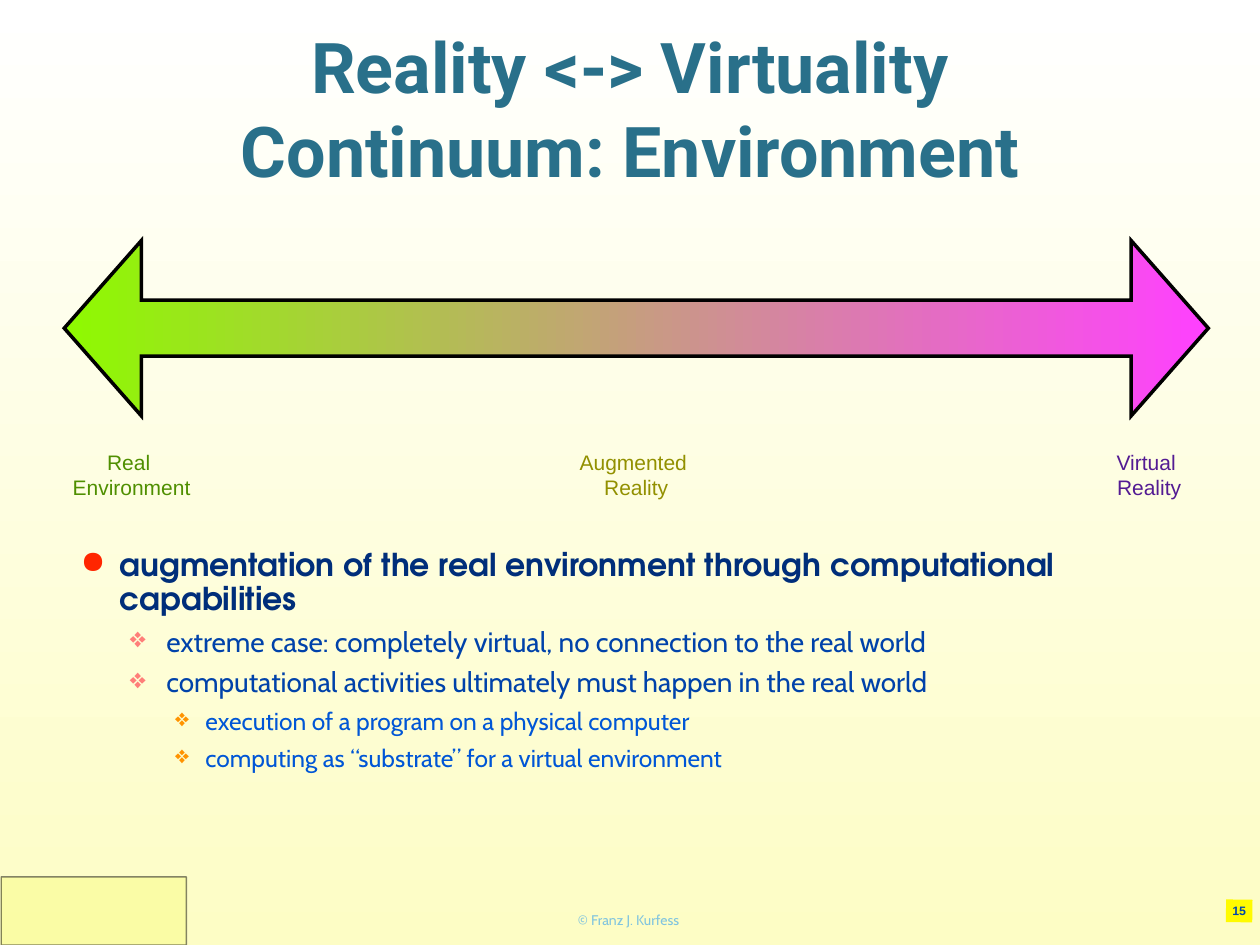
from lxml.etree import SubElement
from pptx import Presentation
from pptx.dml.color import RGBColor
from pptx.enum.shapes import MSO_SHAPE as Shape
from pptx.enum.text import MSO_ANCHOR as Anchor, PP_ALIGN as Align
from pptx.oxml.ns import qn
from pptx.util import Inches, Pt

# Content
TITLE = ["Reality <-> Virtuality", "Continuum: Environment"]
FOOTER = "© Franz J. Kurfess"
PAGE_NUMBER = "15"
STAGES = [  # lines, colour, left, width
    (["Real ", "Environment"], "4F8F00", 0.38, 1.33),
    (["Augmented ", "Reality"], "929000", 4.45, 1.2),
    (["Virtual ", "Reality"], "531B93", 8.68, 0.88),
]
POINTS = [  # level, text
    (0, "augmentation of the real environment through computational capabilities"),
    (1, "extreme case: completely virtual, no connection to the real world"),
    (1, "computational activities ultimately must happen in the real world"),
    (2, "execution of a program on a physical computer"),
    (2, "computing as “substrate” for a virtual environment"),
]
LEVELS = [  # bullet, bullet colour, margin, hanging indent, font, size, colour, bold
    ("●", "FF2600", 0.31, 0.31, "TeX Gyre Adventor", 18, "002E7A", True),
    ("❖", "FF7E79", 0.68, 0.29, "Cabin", 16, "0042AA", False),
    ("❖", "FF9300", 0.99, 0.24, "Cabin", 14, "0056D6", False),
]


def rgb(value):
    return RGBColor.from_string(value)


def set_font(para, name, size, color, bold=False):
    font = para.font
    font.name, font.size, font.bold = name, Pt(size), bold
    font.color.rgb = rgb(color)


def set_gradient(fill, colors, angle):
    fill.gradient()
    fill.gradient_angle = angle
    for stop, color, position in zip(fill.gradient_stops, colors, (0, 1)):
        stop.color.rgb = rgb(color)
        stop.position = position


def set_alpha(parent, percent):
    color = next(parent.iter(qn("a:srgbClr")))
    SubElement(color, qn("a:alpha"), val=str(percent * 1000))


def setup_frame(frame, inset, anchor=Anchor.MIDDLE, wrap=True):
    frame.word_wrap = wrap
    frame.vertical_anchor = anchor
    frame.margin_left = frame.margin_right = Inches(inset)
    frame.margin_top = frame.margin_bottom = Inches(inset)


def fill_lines(frame, lines, *style):
    for index, line in enumerate(lines):
        para = frame.paragraphs[0] if index == 0 else frame.add_paragraph()
        para.text = line
        para.alignment = Align.CENTER
        set_font(para, *style)


def add_text(page, place, lines, inset, *style):
    box = page.shapes.add_textbox(*map(Inches, place))
    setup_frame(box.text_frame, inset)
    fill_lines(box.text_frame, lines, *style)


def add_figure(page, kind, place):
    figure = page.shapes.add_shape(kind, *map(Inches, place))
    figure.shadow.inherit = False
    return figure


def add_bullet(para, char, color, margin, hanging):
    props = para._p.get_or_add_pPr()
    props.set("marL", str(Inches(margin)))
    props.set("indent", str(-Inches(hanging)))
    SubElement(SubElement(props, qn("a:buClr")), qn("a:srgbClr"), val=color)
    SubElement(props, qn("a:buChar"), char=char)


deck = Presentation()
deck.slide_width, deck.slide_height = Inches(10), Inches(7.5)
page = deck.slides.add_slide(deck.slide_layouts[6])
set_gradient(page.background.fill, ("FDFDC5", "FFFFFF"), 90)

# Corner panel and footer
panel = add_figure(page, Shape.RECTANGLE, (0.01, 6.96, 1.47, 0.54))
panel.fill.solid()
panel.fill.fore_color.rgb = rgb("F8FC84")
panel.line.color.rgb = rgb("000000")
panel.line.width = Pt(0.75)
set_alpha(panel._element.spPr.find(qn("a:solidFill")), 48)
set_alpha(panel._element.spPr.find(qn("a:ln")), 48)
add_text(page, (3.36, 7.17, 3.26, 0.26), [FOOTER], 0.04, "Cabin", 8, "80C4DF")

# Title
add_text(page, (0.6, 0, 8.8, 1.7), TITLE, 0.04, "Roboto", 40, "29708A", True)

# Bulleted points
body = page.shapes.add_textbox(*map(Inches, (0.6, 4.32, 8.79, 2.37))).text_frame
setup_frame(body, 0.04, Anchor.TOP)
for index, (level, text) in enumerate(POINTS):
    para = body.paragraphs[0] if index == 0 else body.add_paragraph()
    para.text = text
    para.level = level
    para.line_spacing = 0.9
    para.space_before = Pt(6 if index else 0)
    add_bullet(para, *LEVELS[level][:4])
    set_font(para, *LEVELS[level][4:])

# Page number
badge = add_figure(page, Shape.RECTANGLE, (9.73, 7.14, 0.21, 0.18))
badge.rotation = 0.8
badge.fill.solid()
badge.fill.fore_color.rgb = rgb("FFFB00")
badge.line.fill.background()
setup_frame(badge.text_frame, 0.04, wrap=False)
fill_lines(badge.text_frame, [PAGE_NUMBER], "Arial", 7, "0048AA", True)

# Continuum arrow and its stages
arrow = add_figure(page, Shape.LEFT_RIGHT_ARROW, (0.51, 1.91, 9.08, 1.39))
arrow.adjustments[0], arrow.adjustments[1] = 0.32, 0.44
set_gradient(arrow.fill, ("8EFA00", "FF40FF"), 0)
arrow.line.color.rgb = rgb("000000")
arrow.line.width = Pt(2)
SubElement(arrow._element.spPr.find(qn("a:ln")), qn("a:miter"), lim="800000")
for lines, color, left, width in STAGES:
    add_text(page, (left, 3.5, width, 0.54), lines, 0.06, "Arial", 12, color)

deck.save("out.pptx")
